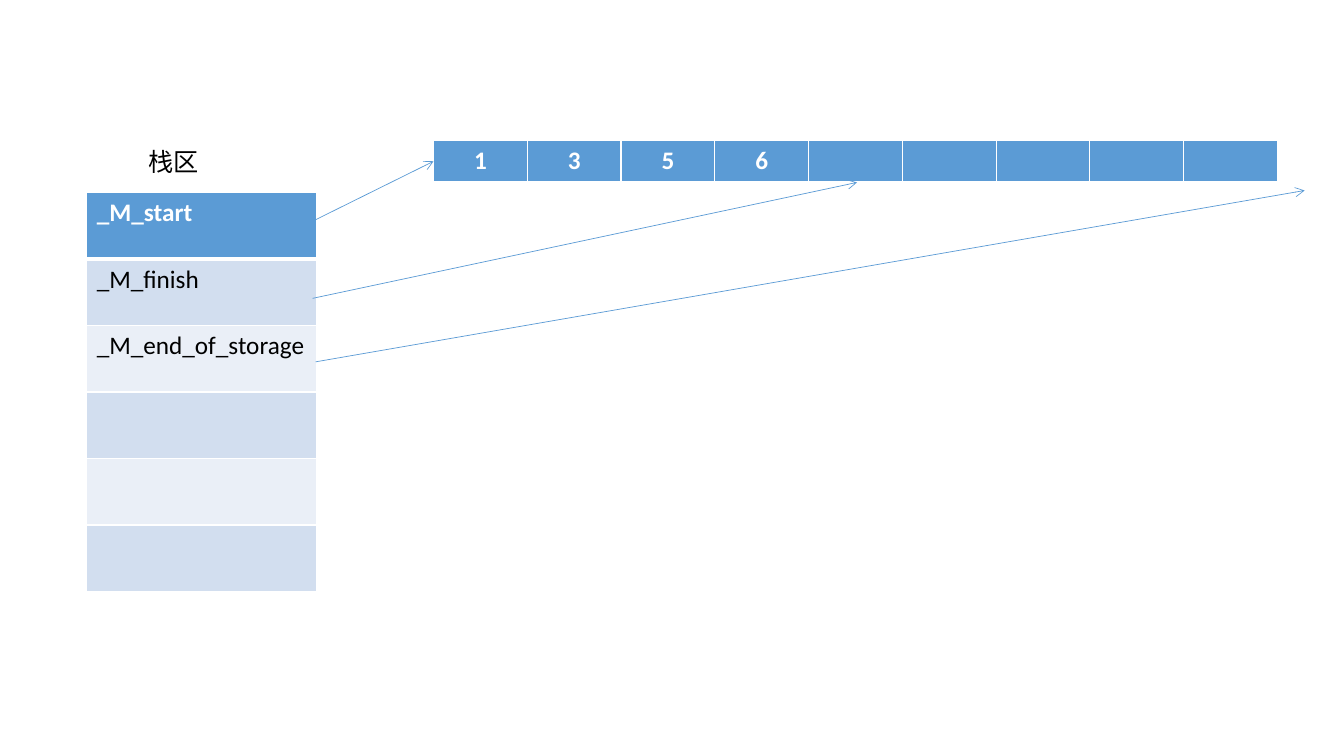
from lxml import etree
from pptx import Presentation
from pptx.dml.color import RGBColor
from pptx.enum.shapes import MSO_CONNECTOR
from pptx.enum.text import PP_ALIGN
from pptx.oxml.ns import qn
from pptx.util import Inches, Pt

STRAIGHT = MSO_CONNECTOR.STRAIGHT
LEFT, CENTER = PP_ALIGN.LEFT, PP_ALIGN.CENTER
BLUE = RGBColor(0x5B, 0x9B, 0xD5)
DARK_BAND = RGBColor(0xD2, 0xDE, 0xEF)
LIGHT_BAND = RGBColor(0xEA, 0xEF, 0xF7)
WHITE = RGBColor(0xFF, 0xFF, 0xFF)
BLACK = RGBColor(0, 0, 0)
FONT, FONT_SIZE = "Calibri", Pt(18)

# Content
STACK_LABEL = "栈区"
STACK_ROWS = [["_M_start"], ["_M_finish"], ["_M_end_of_storage"], [""], [""], [""]]
HEAP_ROWS = [["1", "3", "5", "6", "", "", "", "", ""]]
POINTERS = [  # from, to
    ((3.13, 2.18), (4.3, 1.6)),
    ((3.1, 2.96), (8.5, 1.81)),
    ((3.13, 3.59), (12.94, 1.89)),
]


def style_span(span, color, bold=False):
    span.font.name, span.font.size = FONT, FONT_SIZE
    span.font.color.rgb, span.font.bold = color, bold


def add_borders(cell, top, bottom):
    """White cell borders, with widths in points."""
    properties = cell._tc.get_or_add_tcPr()
    for side, width in (("L", 1), ("R", 1), ("T", top), ("B", bottom)):
        line = etree.SubElement(properties, qn(f"a:ln{side}"), w=str(Pt(width)))
        fill = etree.SubElement(line, qn("a:solidFill"))
        etree.SubElement(fill, qn("a:srgbClr"), val=str(WHITE))


def add_memory_table(page, rows, left, top, cell_width, cell_height, alignment):
    """Blue header row, banded rows below, thick line under the header."""
    row_count, column_count = len(rows), len(rows[0])
    frame = page.shapes.add_table(
        row_count, column_count, Inches(left), Inches(top),
        Inches(cell_width * column_count), Inches(cell_height * row_count))
    table = frame.table
    for column in table.columns:
        column.width = Inches(cell_width)
    for index, texts in enumerate(rows):
        table.rows[index].height = Inches(cell_height)
        header = index == 0
        band = BLUE if header else (LIGHT_BAND, DARK_BAND)[index % 2]
        for position, text in enumerate(texts):
            cell = table.cell(index, position)
            add_borders(cell, 3 if index == 1 else 1, 3 if header else 1)
            cell.fill.solid()
            cell.fill.fore_color.rgb = band
            if text:
                para = cell.text_frame.paragraphs[0]
                para.text, para.alignment = text, alignment
                style_span(para.runs[0], WHITE if header else BLACK, header)


def add_pointer(page, start, end):
    arrow = page.shapes.add_connector(
        STRAIGHT, *(Inches(value) for value in start + end))
    arrow.line.color.rgb, arrow.line.width = BLUE, Pt(0.5)
    etree.SubElement(arrow.line._get_or_add_ln(), qn("a:tailEnd"), type="arrow")
    etree.SubElement(arrow._element.spPr, qn("a:effectLst"))


def main():
    deck = Presentation()
    deck.slide_width, deck.slide_height = Inches(13.33), Inches(7.5)
    page = deck.slides.add_slide(deck.slide_layouts[6])

    # Stack variables and heap array
    add_memory_table(page, STACK_ROWS, 0.86, 1.91, 2.28, 0.66, LEFT)
    add_memory_table(page, HEAP_ROWS, 4.3, 1.39, 0.93, 0.42, CENTER)

    # Pointers into the array
    for start, end in POINTERS:
        add_pointer(page, start, end)

    # Stack label
    box = page.shapes.add_textbox(Inches(0.87), Inches(1.4), Inches(2.27), Inches(0.4))
    box.text_frame.word_wrap = True
    box.text_frame.margin_left = Inches(0.6)
    box.text_frame.text = STACK_LABEL
    style_span(box.text_frame.paragraphs[0].runs[0], BLACK)

    deck.save("out.pptx")


if __name__ == "__main__":
    main()
